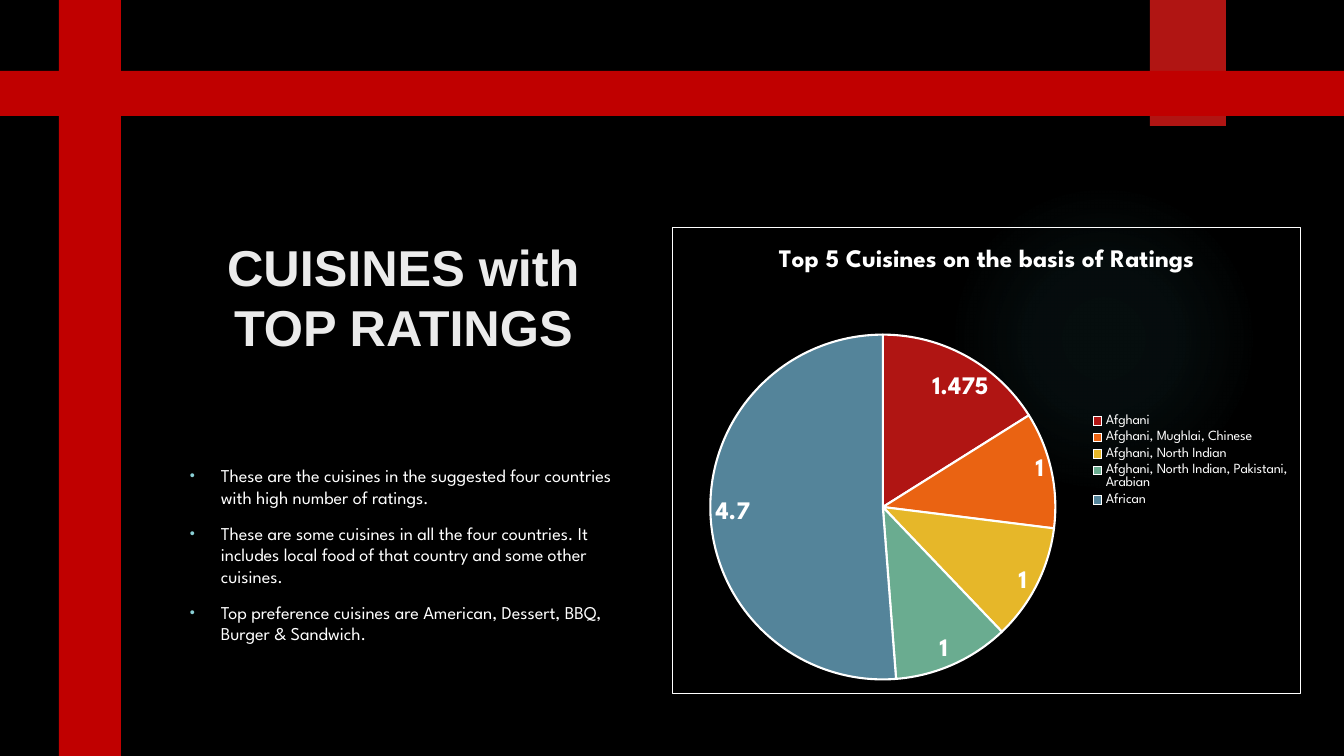
"""Build the slide on cuisines with top ratings: title, bullets and a pie chart."""
from lxml import etree
from pptx import Presentation
from pptx.chart.data import CategoryChartData
from pptx.dml.color import RGBColor
from pptx.enum.chart import XL_CHART_TYPE, XL_LABEL_POSITION, XL_LEGEND_POSITION
from pptx.enum.shapes import MSO_SHAPE
from pptx.enum.text import MSO_ANCHOR, PP_ALIGN
from pptx.oxml import parse_xml
from pptx.oxml.ns import nsdecls, qn
from pptx.util import Pt

PIE = XL_CHART_TYPE.PIE
BEST_FIT = XL_LABEL_POSITION.BEST_FIT
RIGHT = XL_LEGEND_POSITION.RIGHT
RECT, OVAL = MSO_SHAPE.RECTANGLE, MSO_SHAPE.OVAL
BOTTOM, CENTER = MSO_ANCHOR.BOTTOM, PP_ALIGN.CENTER

BLACK = RGBColor(0x00, 0x00, 0x00)
WHITE = RGBColor(0xFF, 0xFF, 0xFF)
PALE = RGBColor(0xEB, 0xEB, 0xEB)
RED = RGBColor(0xC0, 0x00, 0x00)
CRIMSON = RGBColor(0xB0, 0x15, 0x13)
ORANGE = RGBColor(0xEA, 0x63, 0x12)
YELLOW = RGBColor(0xE6, 0xB7, 0x29)
GREEN = RGBColor(0x6A, 0xAC, 0x90)
BLUE = RGBColor(0x54, 0x84, 0x9A)
TEAL = RGBColor(0x50, 0xB9, 0xC1)
AQUA = RGBColor(0x8A, 0xD0, 0xD6)
FONT = "League Spartan"


def px(n):
    return round(n * 914400 / 100.8)


def style(font, name, size, color, bold=False):
    font.name, font.size, font.bold = name, Pt(size), bold
    font.color.rgb = color


prs = Presentation()
prs.slide_width, prs.slide_height = px(1344), px(756)
s = prs.slides.add_slide(prs.slide_layouts[5])
s.background.fill.solid()
s.background.fill.fore_color.rgb = BLACK

for kind, box, color in [
    (OVAL, (949, 184, 310, 310), TEAL),
    (RECT, (1150, 0, 76, 126), CRIMSON),
    (RECT, (59, 0, 62, 756), RED),
    (RECT, (0, 71, 1344, 45), RED),
]:
    sp = s.shapes.add_shape(kind, *map(px, box))
    sp.shadow.inherit = False
    sp.line.fill.background()
    sp.fill.solid()
    sp.fill.fore_color.rgb = color
    if kind == OVAL:
        stops = "".join(
            f'<a:gs pos="{pos}000"><a:srgbClr val="{color}">'
            f'<a:alpha val="{alpha}000"/></a:srgbClr></a:gs>'
            for pos, alpha in [(0, 7), (36, 6), (69, 0)])
        solid = sp.element.spPr.find(qn("a:solidFill"))
        sp.element.spPr.replace(solid, parse_xml(
            f'<a:gradFill {nsdecls("a")}><a:gsLst>{stops}</a:gsLst>'
            '<a:path path="circle"><a:fillToRect l="50000" t="50000" '
            'r="50000" b="50000"/></a:path></a:gradFill>'))

title = s.shapes.title
title.left, title.top, title.width, title.height = map(px, (163, 214, 481, 148))
tf = title.text_frame
tf.text = "CUISINES with TOP RATINGS"
tf.word_wrap = True
tf.vertical_anchor = BOTTOM
tf.paragraphs[0].alignment = CENTER
style(tf.paragraphs[0].runs[0].font, "Arial", 36, PALE, True)

bullets = [
    "These are the cuisines in the suggested four countries with high number of ratings.",
    "These are some cuisines in all the four countries. It includes local food of that "
    "country and some other cuisines.",
    "Top preference cuisines are American, Dessert, BBQ, Burger & Sandwich.",
]
tf = s.shapes.add_textbox(*map(px, (180, 460, 446, 192))).text_frame
tf.word_wrap = True
tf.text = "\n".join(bullets)
for p in tf.paragraphs:
    p.space_before = Pt(10)
    style(p.runs[0].font, FONT, 12.9, WHITE)
    pPr = p._p.get_or_add_pPr()
    pPr.set("marL", str(px(31)))
    pPr.set("indent", str(px(-31)))
    color = etree.SubElement(pPr, qn("a:buClr"))
    etree.SubElement(color, qn("a:srgbClr"), val=str(AQUA))
    etree.SubElement(pPr, qn("a:buSzPct"), val="80000")
    etree.SubElement(pPr, qn("a:buFont"), typeface="Arial")
    etree.SubElement(pPr, qn("a:buChar"), char="•")

cuisines = [
    ("Afghani", 1.475, CRIMSON),
    ("Afghani, Mughlai, Chinese", 1, ORANGE),
    ("Afghani, North Indian", 1, YELLOW),
    ("Afghani, North Indian, Pakistani, Arabian", 1, GREEN),
    ("African", 4.7, BLUE),
]
data = CategoryChartData()
data.categories = [name for name, _, _ in cuisines]
data.add_series("Series 1", [rating for _, rating, _ in cuisines])
chart = s.shapes.add_chart(PIE, *map(px, (672, 227, 629, 467)), data).chart
style(chart.font, FONT, 10, WHITE)
chart.has_title = True
tf = chart.chart_title.text_frame
tf.text = "Top 5 Cuisines on the basis of Ratings"
style(tf.paragraphs[0].runs[0].font, FONT, 18, WHITE, True)
chart.has_legend = True
chart.legend.position = RIGHT
chart.legend.include_in_layout = False
style(chart.legend.font, FONT, 10, WHITE)

plot = chart.plots[0]
plot.vary_by_categories = True
for i, (_, _, color) in enumerate(cuisines):
    fmt = plot.series[0].points[i].format
    fmt.fill.solid()
    fmt.fill.fore_color.rgb = color
    fmt.line.color.rgb = WHITE
    fmt.line.width = Pt(1.5)
plot.has_data_labels = True
labels = plot.data_labels
labels.show_value = True
labels.show_percentage = False
labels.position = BEST_FIT
style(labels.font, FONT, 18, WHITE, True)

area = chart._chartSpace.chart.plotArea
for old in area.findall(qn("c:layout")):
    area.remove(old)
area.insert(0, parse_xml(
    f'<c:layout {nsdecls("c")}><c:manualLayout><c:layoutTarget val="inner"/>'
    '<c:xMode val="edge"/><c:yMode val="edge"/><c:x val="0.06"/><c:y val="0.23"/>'
    '<c:w val="0.55"/><c:h val="0.74"/></c:manualLayout></c:layout>'))
chart._chartSpace.chart.addnext(parse_xml(
    f'<c:spPr {nsdecls("c", "a")}><a:noFill/><a:ln w="9525"><a:solidFill>'
    f'<a:srgbClr val="{WHITE}"/></a:solidFill></a:ln></c:spPr>'))

prs.save("out.pptx")
